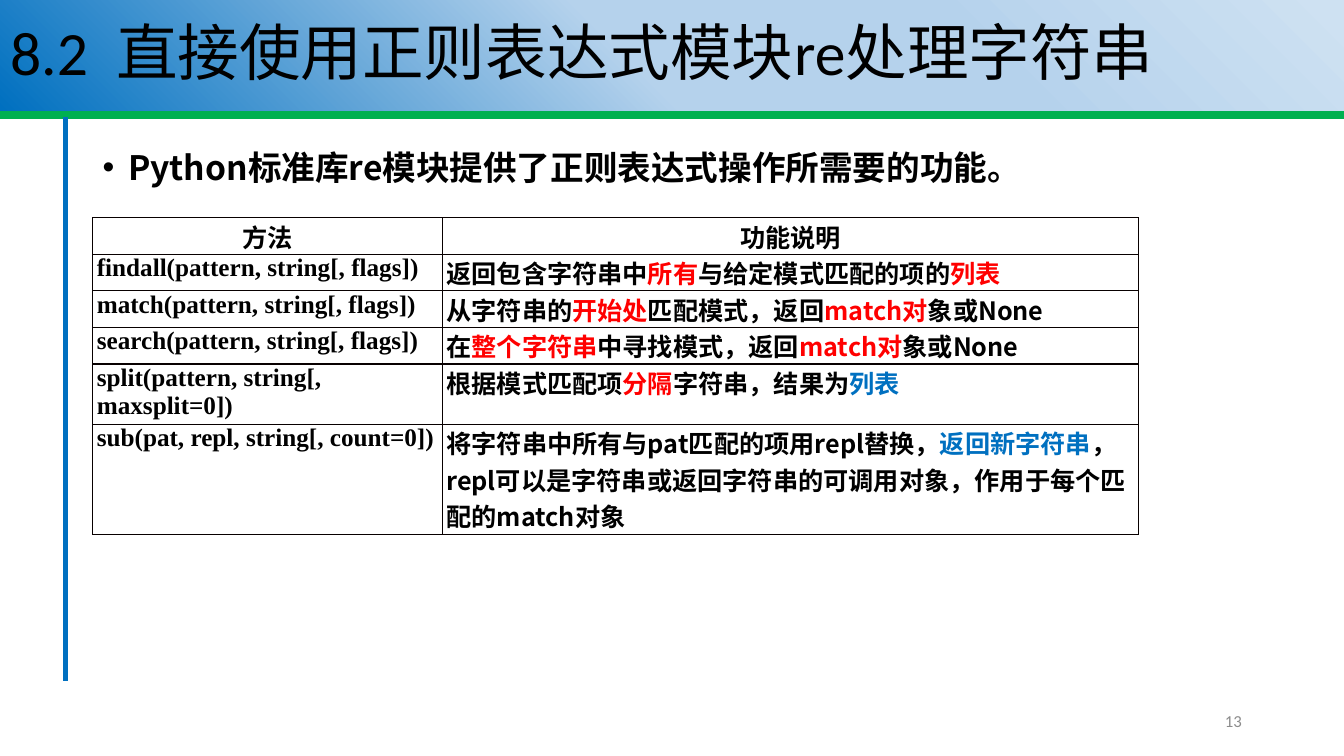
from lxml.etree import SubElement
from pptx import Presentation
from pptx.dml.color import RGBColor
from pptx.enum.shapes import MSO_CONNECTOR
from pptx.enum.text import MSO_ANCHOR, MSO_AUTO_SIZE, PP_ALIGN
from pptx.oxml import parse_xml
from pptx.oxml.ns import nsdecls, qn
from pptx.util import Cm, Pt

CJK, SERIF, SANS = "Noto Sans CJK SC", "Times New Roman", "Calibri"
BLACK, RED, BLUE, GREEN, GREY = "000000", "FF0000", "0070C0", "00B050", "8C8C8C"
BORDER = "080000"
TITLE_STOPS = [(1, "CEE1F2"), (29, "B5D2EC"), (53, "B5D2EC"), (100, BLUE)]

COLUMN_WIDTHS = [8.81, 17.55]
ROW_HEIGHTS = [0.92] * 4 + [1.41, 2.78]
HEADINGS = ["方法", "功能说明"]
METHODS = [
    ("findall(pattern, string[, flags])",
     ["返回包含字符串中", ("所有", RED), "与给定模式匹配的项的", ("列表", RED)]),
    ("match(pattern, string[, flags])",
     ["从字符串的", ("开始处", RED), "匹配模式，返回", ("match对", RED), "象或None"]),
    ("search(pattern, string[, flags])",
     ["在", ("整个字符串", RED), "中寻找模式，返回", ("match对", RED), "象或None"]),
    ("split(pattern, string[, maxsplit=0])",
     ["根据模式匹配项", ("分隔", RED), "字符串，结果为", ("列表", BLUE)]),
    ("sub(pat, repl, string[, count=0])",
     ["将字符串中所有与pat匹配的项用repl替换，", ("返回新字符串", BLUE),
      "，repl可以是字符串或返回字符串的可调用对象，作用于每个匹配的match对象"]),
]


def colour(value):
    return RGBColor.from_string(value)


def write(frame, spans, size=18, font=CJK, color=BLACK, bold=False,
          align=PP_ALIGN.LEFT, spacing=None):
    """Write one paragraph; a span is plain text or a (text, colour) pair."""
    frame.word_wrap = True
    para = frame.paragraphs[0]
    para.alignment = align
    para.line_spacing = spacing
    for span in [spans] if isinstance(spans, str) else spans:
        text, shade = (span, color) if isinstance(span, str) else span
        run = para.add_run()
        run.text = text
        run.font.size = Pt(size)
        run.font.bold = bold
        run.font.color.rgb = colour(shade)
        run.font.name = font
        SubElement(run.font._element, qn("a:ea"), typeface=CJK)
    return para


def place(shape, left, top, width, height):
    shape.left, shape.top = Cm(left), Cm(top)
    shape.width, shape.height = Cm(width), Cm(height)


def add_rule(page, start, end, color, weight):
    rule = page.shapes.add_connector(
        MSO_CONNECTOR.STRAIGHT, *[Cm(length) for length in start + end])
    rule.line.color.rgb = colour(color)
    rule.line.width = Pt(weight)
    SubElement(rule._element.spPr, qn("a:effectLst"))


def format_title(title, text):
    place(title, 0, 0, 33.87, 2.79)
    stops = "".join(
        f'<a:gs pos="{position * 1000}"><a:srgbClr val="{shade}"/></a:gs>'
        for position, shade in TITLE_STOPS)
    title._element.spPr.append(parse_xml(
        f'<a:gradFill {nsdecls("a")}><a:gsLst>{stops}</a:gsLst>'
        '<a:lin ang="8100000" scaled="0"/></a:gradFill>'))
    frame = title.text_frame
    frame.auto_size = MSO_AUTO_SIZE.NONE
    frame.vertical_anchor = MSO_ANCHOR.MIDDLE
    write(frame, text, size=44, font=SANS, spacing=0.9)


def add_text(page, left, top, width, height, text, **style):
    box = page.shapes.add_textbox(Cm(left), Cm(top), Cm(width), Cm(height))
    return box, write(box.text_frame, text, **style)


def add_bullet(para):
    properties = para._p.get_or_add_pPr()
    indent = Cm(0.64)
    properties.set("marL", str(indent))
    properties.set("indent", str(-indent))
    SubElement(properties, qn("a:buFont"), typeface="Arial")
    SubElement(properties, qn("a:buChar"), char="•")


def format_cell(cell, spans, inset=0.1, **style):
    cell.margin_left = Cm(inset)
    cell.margin_right = cell.margin_top = cell.margin_bottom = 0
    cell.fill.background()
    properties = cell._tc.get_or_add_tcPr()
    for index, side in enumerate("LRTB"):
        properties.insert(index, parse_xml(
            f'<a:ln{side} {nsdecls("a")} w="{Pt(1)}"><a:solidFill>'
            f'<a:srgbClr val="{BORDER}"/></a:solidFill></a:ln{side}>'))
    write(cell.text_frame, spans, bold=True, **style)


def add_method_table(page, left, top):
    table = page.shapes.add_table(
        len(ROW_HEIGHTS), len(COLUMN_WIDTHS), Cm(left), Cm(top),
        Cm(sum(COLUMN_WIDTHS)), Cm(sum(ROW_HEIGHTS))).table
    table.first_row = table.horz_banding = False
    for column, width in zip(table.columns, COLUMN_WIDTHS):
        column.width = Cm(width)
    for row, height in zip(table.rows, ROW_HEIGHTS):
        row.height = Cm(height)
    for index, heading in enumerate(HEADINGS):
        format_cell(table.cell(0, index), heading, inset=0, align=PP_ALIGN.CENTER)
    for index, (method, description) in enumerate(METHODS, start=1):
        format_cell(table.cell(index, 0), method, font=SERIF)
        format_cell(table.cell(index, 1), description)


def main():
    deck = Presentation()
    deck.slide_width, deck.slide_height = Cm(33.87), Cm(19.05)
    page = deck.slides.add_slide(deck.slide_layouts.get_by_name("Title Only"))

    add_rule(page, (0, 2.9), (33.87, 2.9), GREEN, 5.25)
    add_rule(page, (1.65, 2.95), (1.65, 17.17), BLUE, 3.75)
    format_title(page.shapes.title, "8.2  直接使用正则表达式模块re处理字符串")

    _, summary = add_text(page, 2.34, 3.68, 29.2, 12.88,
                          "Python标准库re模块提供了正则表达式操作所需要的功能。",
                          size=24, bold=True, spacing=0.9)
    summary.space_before = Pt(10)
    add_bullet(summary)
    add_method_table(page, 2.34, 5.49)

    number, _ = add_text(page, 23.93, 17.65, 7.62, 1.02, "13", size=12,
                         font=SANS, color=GREY, align=PP_ALIGN.RIGHT)
    number.text_frame.vertical_anchor = MSO_ANCHOR.MIDDLE
    deck.save("out.pptx")


if __name__ == "__main__":
    main()
